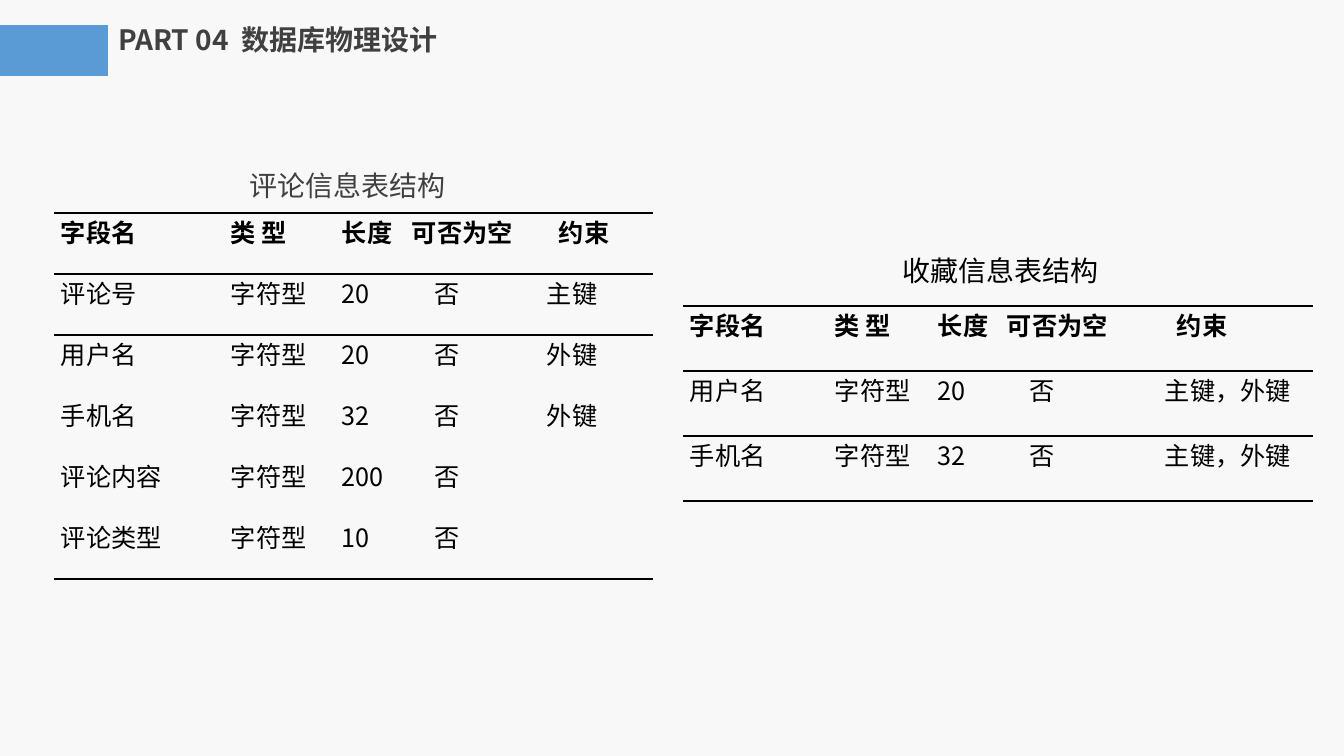
from dataclasses import dataclass

from lxml.etree import SubElement
from pptx import Presentation
from pptx.dml.color import RGBColor
from pptx.enum.shapes import MSO_SHAPE
from pptx.enum.text import MSO_ANCHOR, MSO_AUTO_SIZE, PP_ALIGN
from pptx.oxml import parse_xml
from pptx.oxml.ns import nsdecls, qn
from pptx.util import Pt

EMU_PER_PX = 914400 / 100.8
NO_GRID_STYLE = "{2D5ABB26-0587-4C30-8999-92F81FD0307C}"


@dataclass(frozen=True)
class Theme:
    font: str = "Noto Sans CJK SC"
    background: str = "F8F8F8"
    accent: str = "5B9BD5"
    heading: str = "404040"
    ink: str = "000000"
    heading_size: int = 20
    cell_size: int = 18
    outer_rule: float = 1.5
    header_rule: float = 1


THEME = Theme()

# Each row lists its cells as (wording, columns spanned).
COMMENT_COLUMNS = [170, 111, 70, 23, 100, 12, 12, 101]
COMMENT_ROWS = [
    [("字段名", 1), ("类 型", 1), ("长度", 1), ("可否为空", 4), ("约束", 1)],
    [("评论号", 1), ("字符型", 1), ("20", 2), ("否", 2), ("主键", 2)],
    [("用户名", 1), ("字符型", 1), ("20", 2), ("否", 2), ("外键", 2)],
    [("手机名", 1), ("字符型", 1), ("32", 2), ("否", 2), ("外键", 2)],
    [("评论内容", 1), ("字符型", 1), ("200", 2), ("否", 1), ("", 3)],
    [("评论类型", 1), ("字符型", 1), ("10", 2), ("否", 1), ("", 3)],
]
FAVOURITE_COLUMNS = [145, 103, 69, 23, 91, 23, 21, 12, 143]
FAVOURITE_ROWS = [
    [("字段名", 1), ("类 型", 1), ("长度", 1), ("可否为空", 3), ("", 2), ("约束", 1)],
    [("用户名", 1), ("字符型", 1), ("20", 2), ("否", 1), ("", 2), ("主键，外键", 2)],
    [("手机名", 1), ("字符型", 1), ("32", 2), ("否", 1), ("", 2), ("主键，外键", 2)],
]


def px(length):
    return round(length * EMU_PER_PX)


def write(frame, wording, size, color=THEME.ink, bold=False, align=PP_ALIGN.LEFT):
    paragraph = frame.paragraphs[0]
    paragraph.alignment = align
    run = paragraph.add_run()
    run.text = wording
    run.font.size = Pt(size)
    run.font.bold = bold
    run.font.color.rgb = RGBColor.from_string(color)
    run.font.name = THEME.font
    SubElement(run.font._element, qn("a:ea"), typeface=THEME.font)


def add_heading(slide, left, top, width, height):
    """Accent bar at the slide edge with the section title beside it."""
    bar_width = 108
    bar = slide.shapes.add_shape(
        MSO_SHAPE.RECTANGLE, px(left), px(top + 8), px(bar_width), px(51))
    bar.shadow.inherit = False
    bar.fill.solid()
    bar.fill.fore_color.rgb = RGBColor.from_string(THEME.accent)
    bar.line.fill.background()

    title = slide.shapes.title
    title.left, title.top = px(left + bar_width), px(top)
    title.width, title.height = px(width - bar_width), px(height)
    frame = title.text_frame
    frame.vertical_anchor = MSO_ANCHOR.TOP
    frame.auto_size = MSO_AUTO_SIZE.SHAPE_TO_FIT_TEXT
    write(frame, "PART 04  数据库物理设计", THEME.heading_size, THEME.heading, bold=True)


def add_caption(slide, wording, left, top, width, color):
    caption = slide.shapes.add_textbox(px(left), px(top), px(width), px(44))
    frame = caption.text_frame
    frame.word_wrap = True
    frame.auto_size = MSO_AUTO_SIZE.SHAPE_TO_FIT_TEXT
    frame.margin_right = px(21)
    write(frame, wording, THEME.heading_size, color, align=PP_ALIGN.CENTER)


def add_rule(cell, side, width):
    rule = parse_xml(
        f'<a:{side} {nsdecls("a")} w="{Pt(width)}"><a:solidFill>'
        f'<a:srgbClr val="{THEME.ink}"/></a:solidFill></a:{side}>')
    cell._tc.get_or_add_tcPr().insert(0, rule)


def add_field_table(slide, rows, columns, left, top, row_height):
    """Three-rule table: lines above and below the header and under the last row."""
    table = slide.shapes.add_table(
        len(rows), len(columns), px(left), px(top),
        px(sum(columns)), px(row_height * len(rows))).table
    table._tbl.tblPr.find(qn("a:tableStyleId")).text = NO_GRID_STYLE
    table.first_row = table.horz_banding = False
    for column, width in zip(table.columns, columns):
        column.width = px(width)

    last = len(rows) - 1
    below = {0: THEME.header_rule, last: THEME.outer_rule}
    above = {0: THEME.outer_rule, 1: THEME.header_rule}
    for r, fields in enumerate(rows):
        table.rows[r].height = px(row_height)
        for cell in table.rows[r].cells:
            cell.fill.background()
            cell.margin_left = cell.margin_right = px(7)
            cell.margin_top = cell.margin_bottom = 0
            if r in below:
                add_rule(cell, "lnB", below[r])
            if r in above:
                add_rule(cell, "lnT", above[r])
        c = 0
        for wording, span in fields:
            cell = table.cell(r, c)
            if span > 1:
                cell.merge(table.cell(r, c + span - 1))
            if wording:
                write(cell.text_frame, wording, THEME.cell_size, bold=r == 0)
            c += span


def main():
    deck = Presentation()
    deck.slide_width, deck.slide_height = px(1344), px(756)
    slide = deck.slides.add_slide(deck.slide_layouts[5])
    slide.background.fill.solid()
    slide.background.fill.fore_color.rgb = RGBColor.from_string(THEME.background)

    add_heading(slide, 0, 17, 550, 44)
    add_caption(slide, "评论信息表结构", 54, 164, 599, THEME.heading)
    add_field_table(slide, COMMENT_ROWS, COMMENT_COLUMNS, 54, 213, 61)
    add_caption(slide, "收藏信息表结构", 683, 249, 646, THEME.ink)
    add_field_table(slide, FAVOURITE_ROWS, FAVOURITE_COLUMNS, 683, 306, 65)
    deck.save("out.pptx")


if __name__ == "__main__":
    main()
